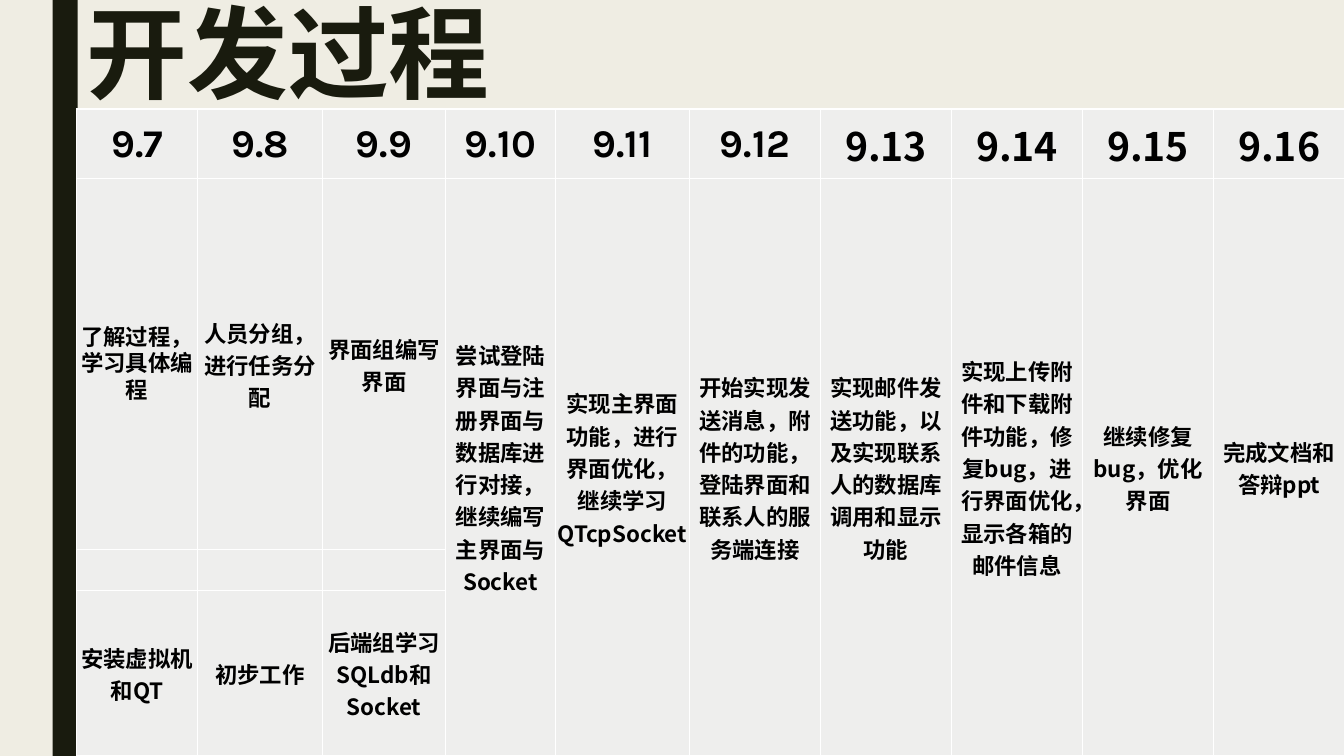
import pptx
import pptx.util
import pptx.dml.color
import pptx.enum.shapes
import pptx.enum.text
import pptx.oxml
import pptx.oxml.ns
import lxml.etree

Pt = pptx.util.Pt
COLORS = {"background": "EFEDE3", "dark": "191B0E", "cell": "EEEEED",
          "border": "FFFFFF", "text": "000000"}
KARLA = "Karla"
NOTO = "Noto Sans CJK SC"
COLUMN_WIDTHS = [86.4, 89.3, 87.8, 78.5, 95.8] + [93.6] * 5
ROW_HEIGHTS = [49.7, 265, 29.5, 118]
DATES = [f"9.{day}" for day in range(7, 17)]
TASKS = [
    "了解过程，学习具体编程",
    "人员分组，进行任务分配",
    "界面组编写界面",
    "尝试登陆界面与注册界面与数据库进行对接，继续编写主界面与Socket",
    "实现主界面功能，进行界面优化，继续学习QTcpSocket",
    "开始实现发送消息，附件的功能，登陆界面和联系人的服务端连接",
    "实现邮件发送功能，以及实现联系人的数据库调用和显示功能",
    "实现上传附件和下载附件功能，修复bug，进行界面优化，显示各箱的邮件信息",
    "继续修复bug，优化界面",
    "完成文档和答辩ppt",
]
FOLLOW_UPS = ["安装虚拟机和QT", "初步工作", "后端组学习SQLdb和Socket"]
SPLIT_COLUMNS = len(FOLLOW_UPS)


def color(name):
    return pptx.dml.color.RGBColor.from_string(COLORS[name])


def add_run(paragraph, text, size, font_name, color_name):
    run = paragraph.add_run()
    run.text = text
    run.font.size = Pt(size)
    run.font.bold = True
    run.font.name = font_name
    run.font.color.rgb = color(color_name)
    properties = run.font._element
    east_asian = lxml.etree.SubElement(properties, pptx.oxml.ns.qn("a:ea"))
    east_asian.set("typeface", font_name)


def add_side_bar(slide, left, top, width, height):
    bar = slide.shapes.add_shape(
        pptx.enum.shapes.MSO_SHAPE.RECTANGLE, Pt(left), Pt(top), Pt(width), Pt(height))
    bar.shadow.inherit = False
    bar.fill.solid()
    bar.fill.fore_color.rgb = color("dark")
    bar.line.fill.background()


def add_title(slide, left, top, width, height):
    frame = slide.shapes.add_textbox(Pt(left), Pt(top), Pt(width), Pt(height)).text_frame
    frame.word_wrap = True
    frame.vertical_anchor = pptx.enum.text.MSO_ANCHOR.TOP
    paragraph = frame.paragraphs[0]
    paragraph.line_spacing = 0.89
    add_run(paragraph, "开发过程", 72, KARLA, "dark")


def style_cell(cell):
    cell.margin_left = cell.margin_right = cell.margin_top = Pt(0.75)
    cell.margin_bottom = Pt(0)
    cell.vertical_anchor = pptx.enum.text.MSO_ANCHOR.MIDDLE
    properties = cell._tc.get_or_add_tcPr()
    for side in ("lnL", "lnR", "lnT", "lnB"):
        properties.append(pptx.oxml.parse_xml(
            f'<a:{side} {pptx.oxml.ns.nsdecls("a")} w="12700"><a:solidFill>'
            f'<a:srgbClr val="{COLORS["border"]}"/></a:solidFill></a:{side}>'))
    cell.fill.solid()
    cell.fill.fore_color.rgb = color("cell")


def write_cell(cell, text, size, font_name):
    paragraph = cell.text_frame.paragraphs[0]
    paragraph.alignment = pptx.enum.text.PP_ALIGN.CENTER
    add_run(paragraph, text, size, font_name, "text")


def add_schedule(slide, left, top):
    table = slide.shapes.add_table(
        len(ROW_HEIGHTS), len(COLUMN_WIDTHS), Pt(left), Pt(top),
        Pt(sum(COLUMN_WIDTHS)), Pt(sum(ROW_HEIGHTS))).table
    for column, width in zip(table.columns, COLUMN_WIDTHS):
        column.width = Pt(width)
    for row, height in zip(table.rows, ROW_HEIGHTS):
        row.height = Pt(height)
    for cell in table.iter_cells():
        style_cell(cell)
        cell.text_frame.paragraphs[0].font.size = Pt(16)
    for index, (date, task) in enumerate(zip(DATES, TASKS)):
        write_cell(table.cell(0, index), date, 28, KARLA if index < 6 else NOTO)
        write_cell(table.cell(1, index), task, 16, NOTO if index else KARLA)
        if index < SPLIT_COLUMNS:
            write_cell(table.cell(3, index), FOLLOW_UPS[index], 16, NOTO)
        else:
            table.cell(1, index).merge(table.cell(3, index))


def main():
    presentation = pptx.Presentation()
    presentation.slide_width = Pt(960)
    presentation.slide_height = Pt(540)
    slide = presentation.slides.add_slide(presentation.slide_layouts[6])
    slide.background.fill.solid()
    slide.background.fill.fore_color.rgb = color("background")
    add_side_bar(slide, 37.5, 0, 18, 540)
    add_title(slide, 54.7, 0, 756, 116.6)
    add_schedule(slide, 54.7, 77.8)
    presentation.save("out.pptx")


if __name__ == "__main__":
    main()
